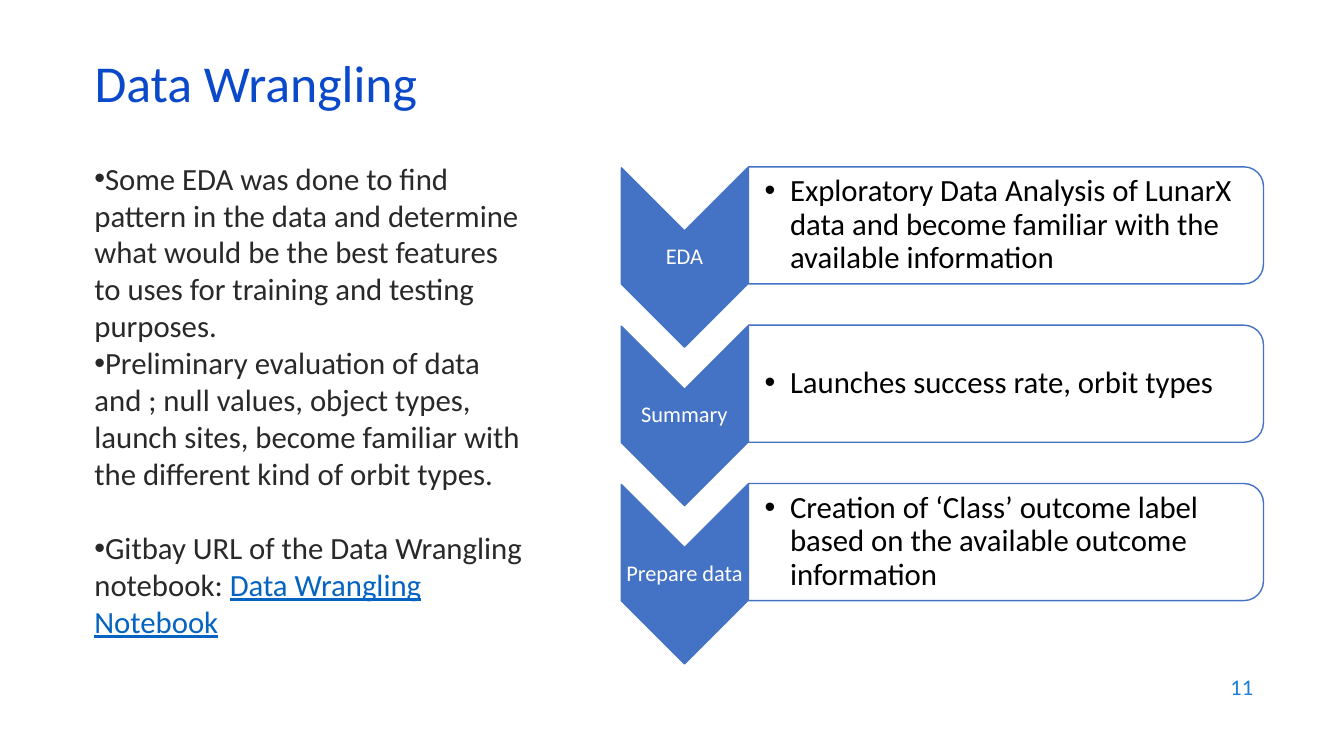
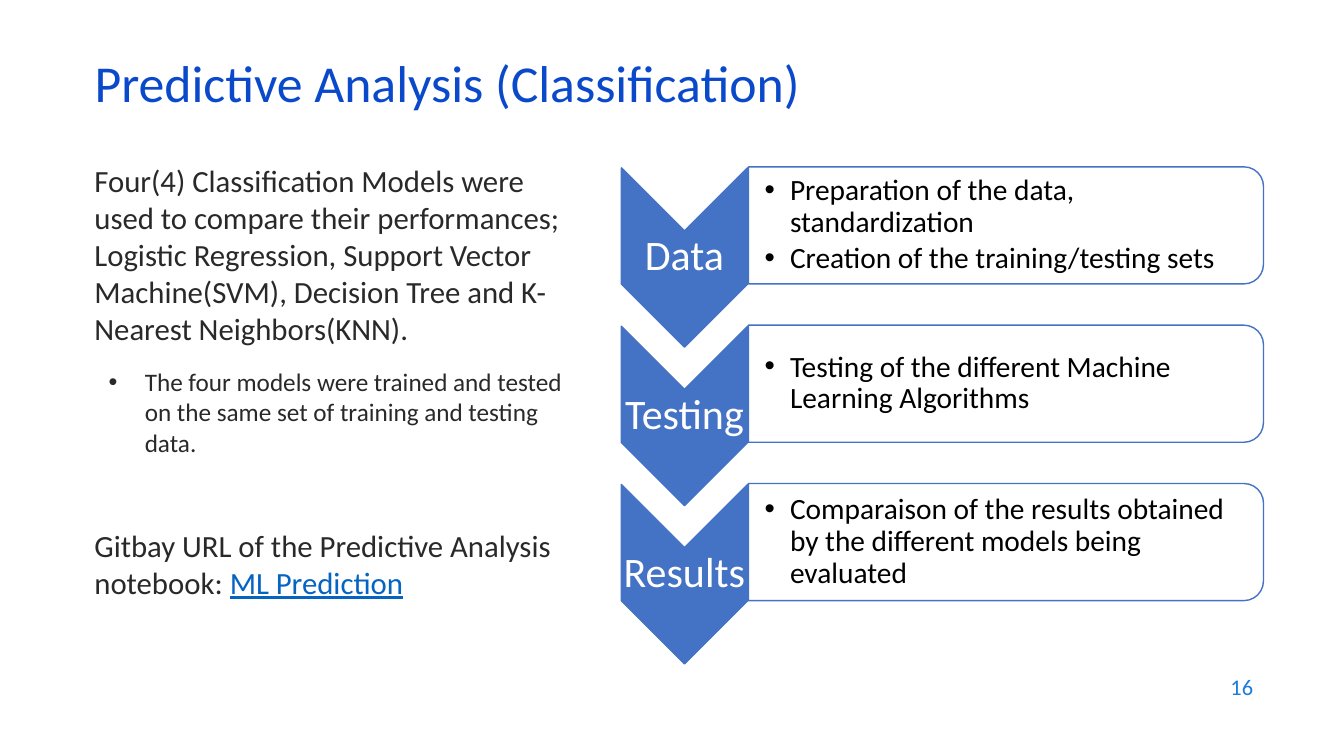
from pptx import Presentation, util as u
from pptx.dml.color import RGBColor
from pptx.enum import shapes, text
from pptx.oxml import parse_xml
from pptx.oxml.ns import nsdecls

FONT = "Calibri"
TITLE, NUMBER, BODY, LINK = "0B49CB", "1C7DDB", "292929", "0563C1"
BLUE, WHITE, BLACK = "4472C4", "FFFFFF", "000000"
LEFT = 2.13
STEP_PITCH = 3.99
CHEVRON = dict(x=17.25, y=6.49, across=3.18, along=4.52)
PANEL = dict(x=25.35, y=5.68, across=12.98, along=2.95)


def colour(value):
    return RGBColor.from_string(value)


def add_bullet(para, margin, hang):
    props = para._p.get_or_add_pPr()
    props.set("marL", str(u.Cm(margin)))
    props.set("indent", str(-u.Cm(hang)))
    props.append(parse_xml(f'<a:buFont {nsdecls("a")} typeface="Arial"/>'))
    props.append(parse_xml(f'<a:buChar {nsdecls("a")} char="•"/>'))


def write(frame, *spans, size, ink, align=text.PP_ALIGN.LEFT, before=0, after=0,
          spacing=1.0, bullet=None, first=True):
    para = frame.paragraphs[0] if first else frame.add_paragraph()
    para.alignment = align
    para.line_spacing = spacing
    para.space_before = u.Pt(before)
    para.space_after = u.Pt(after)
    if bullet:
        add_bullet(para, *bullet)
    for index, words in enumerate(spans):
        span = para.add_run()
        span.text = words
        span.font.name = FONT
        span.font.size = u.Pt(size)
        span.font.color.rgb = colour(LINK if index else ink)
        span.font.underline = index > 0


def add_box(page, left, top, width, height, insets=None, wrap=True,
            anchor=text.MSO_ANCHOR.MIDDLE):
    box = page.shapes.add_textbox(*map(u.Cm, (left, top, width, height)))
    frame = box.text_frame
    frame.word_wrap = wrap
    frame.vertical_anchor = anchor
    if insets:
        frame.margin_left = u.Cm(insets[0])
        frame.margin_top = frame.margin_right = frame.margin_bottom = u.Cm(insets[1])
    return frame


def add_turned_shape(page, kind, fill, x, y, across, along):
    shape = page.shapes.add_shape(
        kind, *map(u.Cm, (x - along / 2, y - across / 2, along, across)))
    shape.rotation = 90
    shape.shadow.inherit = False
    shape.fill.solid()
    shape.fill.fore_color.rgb = colour(fill)
    shape.line.color.rgb = colour(BLUE)
    shape.line.width = u.Pt(1)


def add_page(deck, title, number):
    page = deck.slides.add_slide(deck.slide_layouts[5])
    head = page.shapes.title
    head.left, head.top, head.width, head.height = map(u.Cm, (LEFT, 1.5, 29.21, 1.52))
    frame = head.text_frame
    frame.auto_size = text.MSO_AUTO_SIZE.NONE
    frame.vertical_anchor = text.MSO_ANCHOR.MIDDLE
    write(frame, title, size=37, ink=TITLE, spacing=0.7)
    write(add_box(page, 24.21, 16.74, 7.62, 1.12), number, size=16, ink=NUMBER,
          align=text.PP_ALIGN.RIGHT)
    return page


def add_body(page, top, width, height, paragraphs):
    frame = add_box(page, LEFT, top, width, height, anchor=text.MSO_ANCHOR.TOP)
    for index, (spans, style) in enumerate(paragraphs):
        write(frame, *spans, ink=BODY, first=index == 0, **{"size": 22, **style})


def add_steps(page, steps, label_size, point_size):
    kinds = shapes.MSO_SHAPE
    for index, (label, points) in enumerate(steps):
        drop = index * STEP_PITCH
        chevron = {**CHEVRON, "y": CHEVRON["y"] + drop}
        panel = {**PANEL, "y": PANEL["y"] + drop}
        add_turned_shape(page, kinds.CHEVRON, BLUE, **chevron)
        write(add_box(page, 15.66, 5.8 + drop, 3.18, 1.37, (0.04, 0.04), wrap=False),
              label, size=label_size, ink=WHITE, align=text.PP_ALIGN.CENTER, spacing=0.9)
        add_turned_shape(page, kinds.ROUND_2_SAME_RECTANGLE, WHITE,
                         panel["x"], panel["y"], panel["across"], panel["along"])
        frame = add_box(page, 18.85, 4.34 + drop, 12.83, 2.67, (0.42, 0.04))
        for order, point in enumerate(points):
            write(frame, point, size=point_size, ink=BLACK, spacing=0.9, after=3,
                  bullet=(0.64, 0.64), first=order == 0)


def main():
    deck = Presentation()
    deck.slide_width, deck.slide_height = u.Cm(33.87), u.Cm(19.05)

    page = add_page(deck, "Data Wrangling", "11")
    flush = {"bullet": (0, 0)}
    add_body(page, 3.89, 11.51, 13, [
        (["Some EDA was done to find pattern in the data and determine what would be "
          "the best features to uses for training and testing purposes."], flush),
        (["Preliminary evaluation of data and ; null values, object types, launch sites, "
          "become familiar with the different kind of orbit types."], flush),
        (["Gitbay URL of the Data Wrangling notebook: ", "Data Wrangling Notebook"],
         {**flush, "before": 26.5}),
    ])
    add_steps(page, [
        ("EDA", ["Exploratory Data Analysis of LunarX data and become familiar with the "
                 "available information"]),
        ("Summary", ["Launches success rate, orbit types"]),
        ("Prepare data", ["Creation of ‘Class’ outcome label based on the available "
                          "outcome information"]),
    ], label_size=16, point_size=22)

    page = add_page(deck, "Predictive Analysis (Classification)", "16")
    add_body(page, 3.96, 12.93, 12.09, [
        (["Four(4) Classification Models were used to compare their performances; "
          "Logistic Regression, Support Vector Machine(SVM), Decision Tree and "
          "K-Nearest Neighbors(KNN)."], {}),
        (["The four models were trained and tested on the same set of training and "
          "testing data."], {"size": 18, "before": 14, "bullet": (1.27, 0.91)}),
        (["Gitbay URL of the Predictive Analysis notebook: ", "ML Prediction"],
         {"before": 49.5}),
    ])
    add_steps(page, [
        ("Data", ["Preparation of the data, standardization",
                  "Creation of the training/testing sets"]),
        ("Testing", ["Testing of the different Machine Learning Algorithms"]),
        ("Results", ["Comparaison of the results obtained by the different models being "
                     "evaluated"]),
    ], label_size=30, point_size=21)

    deck.save("out.pptx")


if __name__ == "__main__":
    main()
